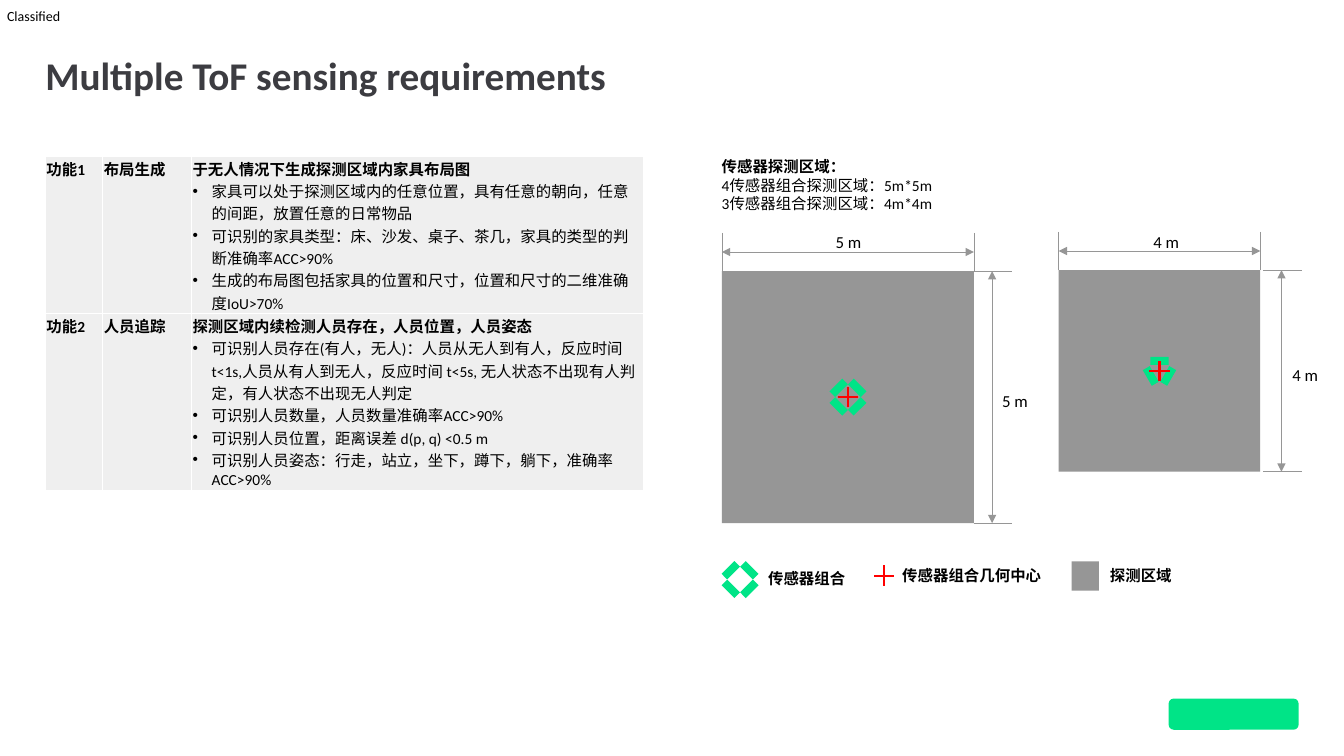
from dataclasses import dataclass
from math import cos, radians, sin

from lxml.etree import SubElement
from pptx import Presentation
from pptx.dml.color import RGBColor
from pptx.enum.shapes import MSO_CONNECTOR, MSO_SHAPE
from pptx.oxml import parse_xml
from pptx.oxml.ns import nsdecls, qn
from pptx.util import Inches, Pt


@dataclass(frozen=True)
class Theme:
    font: str = "Calibri"
    black: str = "000000"
    title_color: str = "3C3C41"
    green: str = "00E487"
    red: str = "FF0000"
    gray: str = "969696"
    cell: str = "EFEFEF"
    border: str = "FFFFFF"
    title_size: float = 28
    label_size: float = 12
    body_size: float = 11
    small_size: float = 10
    thin: float = 0.5
    thick: float = 1.5


def write_text(paragraph, text, *, font, size, color, bold=False, bullet=False,
               line_spacing=None, space_after=None):
    run = paragraph.add_run()
    run.text = text
    run.font.name = font
    run.font.size = Pt(size)
    run.font.bold = bold
    run.font.color.rgb = RGBColor.from_string(color)
    if line_spacing:
        paragraph.line_spacing = line_spacing
    if space_after:
        paragraph.space_after = Pt(space_after)
    if bullet:
        properties = paragraph._p.get_or_add_pPr()
        properties.set("marL", str(Inches(0.19)))
        properties.set("indent", str(-Inches(0.19)))
        SubElement(properties, qn("a:buFont")).set("typeface", "Arial")
        SubElement(properties, qn("a:buChar")).set("char", "•")


class SlideBuilder:
    def __init__(self, slide, theme):
        self.slide = slide
        self.theme = theme

    def fill_paragraphs(self, frame, lines, **style):
        style = {"font": self.theme.font, "size": self.theme.body_size,
                 "color": self.theme.black} | style
        for index, (text, changes) in enumerate(lines):
            paragraph = frame.add_paragraph() if index else frame.paragraphs[0]
            write_text(paragraph, text, **(style | changes))

    def text(self, left, top, width, height, lines, inset=True, wrap=True, **style):
        shape = self.slide.shapes.add_textbox(
            Inches(left), Inches(top), Inches(width), Inches(height))
        frame = shape.text_frame
        frame.word_wrap = wrap
        if not inset:
            frame.margin_left = frame.margin_right = 0
            frame.margin_top = frame.margin_bottom = 0
        self.fill_paragraphs(frame, lines, **style)

    def shape(self, kind, left, top, width, height, color, rotation=0):
        shape = self.slide.shapes.add_shape(
            kind, Inches(left), Inches(top), Inches(width), Inches(height))
        shape.shadow.inherit = False
        shape.fill.solid()
        shape.fill.fore_color.rgb = RGBColor.from_string(color)
        shape.line.fill.background()
        shape.rotation = rotation

    def line(self, start, end, color, width, arrows=False):
        connector = self.slide.shapes.add_connector(
            MSO_CONNECTOR.STRAIGHT, *(Inches(value) for value in (*start, *end)))
        connector.line.color.rgb = RGBColor.from_string(color)
        connector.line.width = Pt(width)
        if arrows:
            outline = connector.line._get_or_add_ln()
            for tag in ("a:headEnd", "a:tailEnd"):
                SubElement(outline, qn(tag)).set("type", "triangle")
        SubElement(connector._element.spPr, qn("a:effectLst"))

    def table(self, left, top, column_widths, row_heights, rows):
        table = self.slide.shapes.add_table(
            len(rows), len(column_widths), Inches(left), Inches(top),
            Inches(sum(column_widths)), Inches(sum(row_heights))).table
        table.first_row = table.horz_banding = False
        for column, width in zip(table.columns, column_widths):
            column.width = Inches(width)
        for row, height, contents in zip(table.rows, row_heights, rows):
            row.height = Inches(height)
            for cell, lines in zip(row.cells, contents):
                self.cell(cell, lines)

    def cell(self, cell, lines):
        cell.margin_left = cell.margin_right = cell.margin_top = Inches(0.01)
        cell.margin_bottom = 0
        cell.fill.solid()
        cell.fill.fore_color.rgb = RGBColor.from_string(self.theme.cell)
        for index, side in enumerate(("lnL", "lnR", "lnT", "lnB")):
            border = parse_xml(
                f'<a:{side} {nsdecls("a")} w="{Pt(1)}"><a:solidFill>'
                f'<a:srgbClr val="{self.theme.border}"/></a:solidFill></a:{side}>')
            cell._tc.get_or_add_tcPr().insert(index, border)
        self.fill_paragraphs(cell.text_frame, lines)

    def sensors(self, x, y, count, radius, start):
        width, height = 0.08, 0.18
        for index in range(count):
            angle = start + index * 360 / count
            self.shape(MSO_SHAPE.RECTANGLE,
                       x + radius * sin(radians(angle)) - width / 2,
                       y - radius * cos(radians(angle)) - height / 2,
                       width, height, self.theme.green, (angle + 90) % 180)

    def cross(self, x, y):
        for dx, dy in ((0.1, 0), (0, 0.1)):
            self.line((x - dx, y - dy), (x + dx, y + dy), self.theme.red, self.theme.thick)

    def zone(self, left, top, size, label, top_label_left, side_label_left, gap, **sensors):
        right, bottom, middle = left + size, top + size, top + size / 2
        self.shape(MSO_SHAPE.RECTANGLE, left, top, size, size, self.theme.gray)
        self.sensors(left + size / 2, middle, **sensors)
        self.cross(left + size / 2, middle)
        side, above = right + gap, top - 0.19
        lines = [((x, top - 0.38), (x, top), False) for x in (left, right)]
        lines += [((side, y), (side + 0.38, y), False) for y in (top, bottom)]
        lines += [((left, above), (right, above), True),
                  ((side + 0.18, top), (side + 0.18, bottom), True)]
        for start, end, arrows in lines:
            self.line(start, end, self.theme.gray, self.theme.thin, arrows)
        for x, y in ((top_label_left, 2.27), (side_label_left, middle - 0.09)):
            self.text(x, y, 0.47, 0.28, [(label, {})], wrap=False,
                      size=self.theme.label_size, line_spacing=0.9, space_after=9)


def heading(text):
    return text, {"bold": True}


def bullet(text):
    return text, {"bullet": True}


FUNCTIONS = [
    [[heading("功能1")], [heading("布局生成")], [
        heading("于无人情况下生成探测区域内家具布局图"),
        bullet("家具可以处于探测区域内的任意位置，具有任意的朝向，任意的间距，放置任意的日常物品"),
        bullet("可识别的家具类型：床、沙发、桌子、茶几，家具的类型的判断准确率ACC>90%"),
        bullet("生成的布局图包括家具的位置和尺寸，位置和尺寸的二维准确度IoU>70%")]],
    [[heading("功能2")], [heading("人员追踪")], [
        heading("探测区域内续检测人员存在，人员位置，人员姿态"),
        bullet("可识别人员存在(有人，无人)：人员从无人到有人，反应时间 t<1s,人员从有人到无人，"
               "反应时间 t<5s, 无人状态不出现有人判定，有人状态不出现无人判定"),
        bullet("可识别人员数量，人员数量准确率ACC>90%"),
        bullet("可识别人员位置，距离误差 d(p, q) <0.5 m"),
        bullet("可识别人员姿态：行走，站立，坐下，蹲下，躺下，准确率ACC>90%")]],
]


def main():
    presentation = Presentation()
    presentation.slide_width = Inches(13.33)
    presentation.slide_height = Inches(7.5)
    theme = Theme()
    builder = SlideBuilder(
        presentation.slides.add_slide(presentation.slide_layouts[6]), theme)

    builder.shape(MSO_SHAPE.ROUNDED_RECTANGLE, 11.59, 6.93, 1.29, 0.31, theme.green)
    builder.text(0.07, 0.07, 0.56, 0.17, [("Classified", {})],
                 inset=False, wrap=False, size=theme.small_size)
    builder.text(0.45, 0.56, 12.43, 0.85, [heading("Multiple ToF sensing requirements")],
                 inset=False, size=theme.title_size, color=theme.title_color, line_spacing=0.9)
    builder.table(0.45, 1.55, (0.57, 0.88, 4.48), (1.56, 1.76), FUNCTIONS)

    builder.text(7.06, 1.51, 3.97, 0.66, [
        heading("传感器探测区域："),
        ("4传感器组合探测区域：5m*5m", {}),
        ("3传感器组合探测区域：4m*4m", {})])
    four_sensors = {"count": 4, "radius": 0.13, "start": 45}
    builder.zone(7.16, 2.69, 2.5, "5 m", 8.19, 9.84, 0, **four_sensors)
    builder.zone(10.5, 2.68, 2, "4 m", 11.34, 12.72, 0.03, count=3, radius=0.1, start=0)

    builder.sensors(7.34, 5.75, **four_sensors)
    builder.cross(8.77, 5.71)
    builder.shape(MSO_SHAPE.RECTANGLE, 10.63, 5.57, 0.27, 0.29, theme.gray)
    for left, top, name in ((7.52, 5.6, "传感器组合"), (8.85, 5.57, "传感器组合几何中心"),
                            (10.91, 5.57, "探测区域")):
        builder.text(left, top, 2.09, 0.29, [heading(name)])

    presentation.save("out.pptx")


if __name__ == "__main__":
    main()
